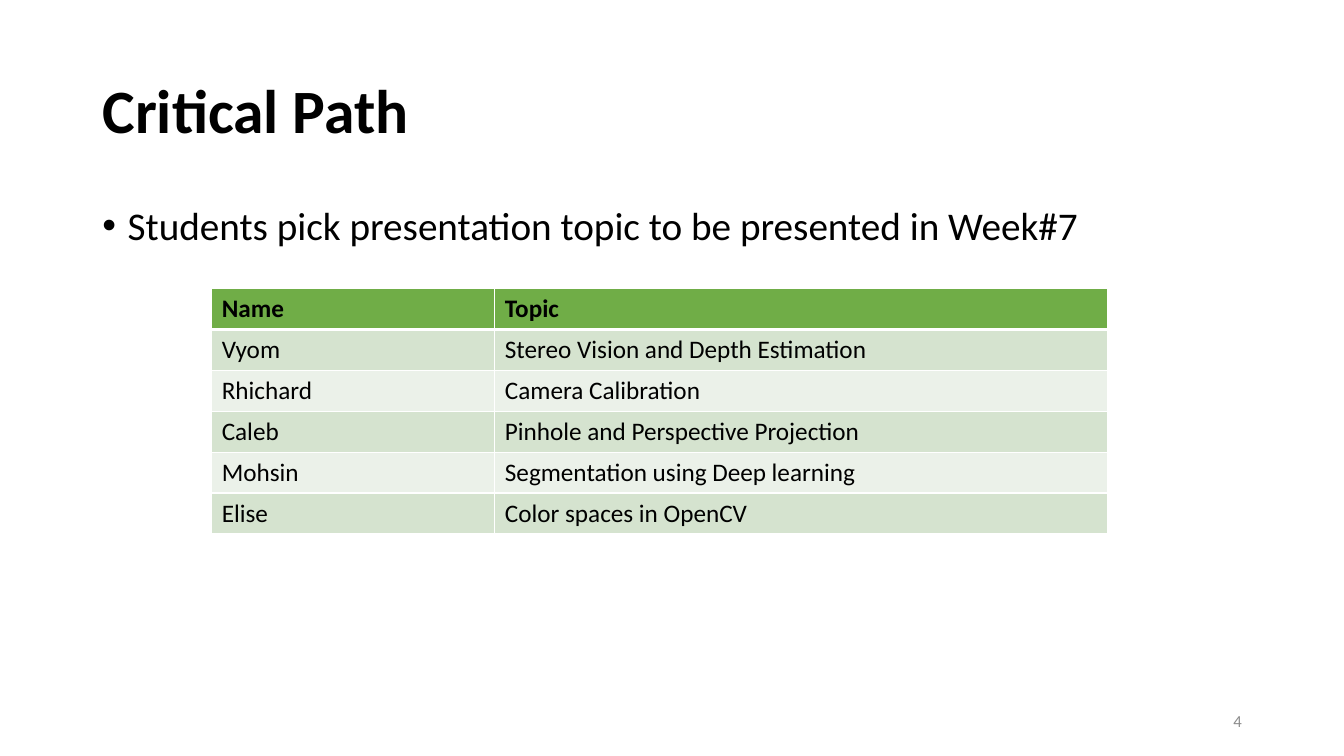
from dataclasses import dataclass

from lxml import etree
from pptx import Presentation
from pptx.dml.color import RGBColor
from pptx.enum.text import MSO_ANCHOR, PP_ALIGN
from pptx.oxml.ns import qn
from pptx.util import Pt

LEFT, RIGHT = PP_ALIGN.LEFT, PP_ALIGN.RIGHT
TOP, MIDDLE = MSO_ANCHOR.TOP, MSO_ANCHOR.MIDDLE
BLACK, GREY, WHITE = "000000", "8C8C8C", "FFFFFF"
HEAD, BANDS = "70AD47", ("D5E3CF", "EBF1E9")
COLS = (202.3, 437.8)
ROW = 29.2
ROWS = (
    ("Name", "Topic"),
    ("Vyom", "Stereo Vision and Depth Estimation"),
    ("Rhichard", "Camera Calibration"),
    ("Caleb", "Pinhole and Perspective Projection"),
    ("Mohsin", "Segmentation using Deep learning"),
    ("Elise", "Color spaces in OpenCV"),
)


@dataclass(frozen=True)
class Block:
    text: str
    box: tuple[float, float, float, float]
    size: float
    color: str = BLACK
    bold: bool = False
    align: int = LEFT
    anchor: int = TOP
    line: float = 1.0
    hang: float = 0


TITLE = Block("Critical Path", (66, 28.8, 828, 104.4), 44,
              bold=True, anchor=MIDDLE, line=0.9)
BODY = Block("Students pick presentation topic to be presented in Week#7",
             (66, 144, 828, 342.7), 28, line=0.9, hang=18)
NUMBER = Block("4", (678.2, 500.4, 216, 28.8), 12, GREY,
               align=RIGHT, anchor=MIDDLE)


def apply(item, values: dict) -> None:
    for key, value in values.items():
        setattr(item, key, value)


def paint(form, color: str) -> None:
    if hasattr(form, "solid"):
        form.solid()
        form.fore_color.rgb = RGBColor.from_string(color)
    else:
        form.color.rgb = RGBColor.from_string(color)


def style(para, size: float, color: str, bold: bool) -> None:
    font = para.runs[0].font
    apply(font, {"name": "Calibri", "size": Pt(size), "bold": bold})
    paint(font, color)


def write(shape, block: Block) -> None:
    places = zip(("left", "top", "width", "height"), block.box)
    apply(shape, {key: Pt(value) for key, value in places})
    frame = shape.text_frame
    frame.text = block.text
    apply(frame, {"word_wrap": True, "vertical_anchor": block.anchor})
    para = frame.paragraphs[0]
    apply(para, {"alignment": block.align, "line_spacing": block.line,
                 "space_before": Pt(0)})
    if block.hang:
        props = para._p.get_or_add_pPr()
        props.set("marL", str(Pt(block.hang)))
        props.set("indent", str(-Pt(block.hang)))
    style(para, block.size, block.color, block.bold)


def edge(cell, row: int) -> None:
    props = cell._tc.get_or_add_tcPr()
    widths = {"L": 1, "R": 1, "T": 3 if row == 1 else 1,
              "B": 3 if row == 0 else 1}
    for spot, (side, width) in enumerate(widths.items()):
        line = etree.Element(qn(f"a:ln{side}"), w=str(Pt(width)))
        fill = etree.SubElement(line, qn("a:solidFill"))
        etree.SubElement(fill, qn("a:srgbClr"), val=WHITE)
        props.insert(spot, line)


def grid(slide) -> None:
    frame = slide.shapes.add_table(
        len(ROWS), len(COLS), Pt(151.2), Pt(206.2),
        Pt(sum(COLS)), Pt(ROW * len(ROWS)))
    table = frame.table
    for col, width in zip(table.columns, COLS):
        col.width = Pt(width)
    for row, words in enumerate(ROWS):
        table.rows[row].height = Pt(ROW)
        for col, word in enumerate(words):
            cell = table.cell(row, col)
            cell.text = word
            paint(cell.fill, BANDS[(row - 1) % 2] if row else HEAD)
            edge(cell, row)
            style(cell.text_frame.paragraphs[0], 18, BLACK, row == 0)


def main() -> None:
    deck = Presentation()
    apply(deck, {"slide_width": Pt(960), "slide_height": Pt(540)})
    slide = deck.slides.add_slide(deck.slide_layouts[1])
    paint(slide.background.fill, WHITE)
    write(slide.shapes.title, TITLE)
    write(slide.placeholders[1], BODY)
    write(slide.shapes.add_textbox(0, 0, 0, 0), NUMBER)
    grid(slide)
    deck.save("out.pptx")


if __name__ == "__main__":
    main()
